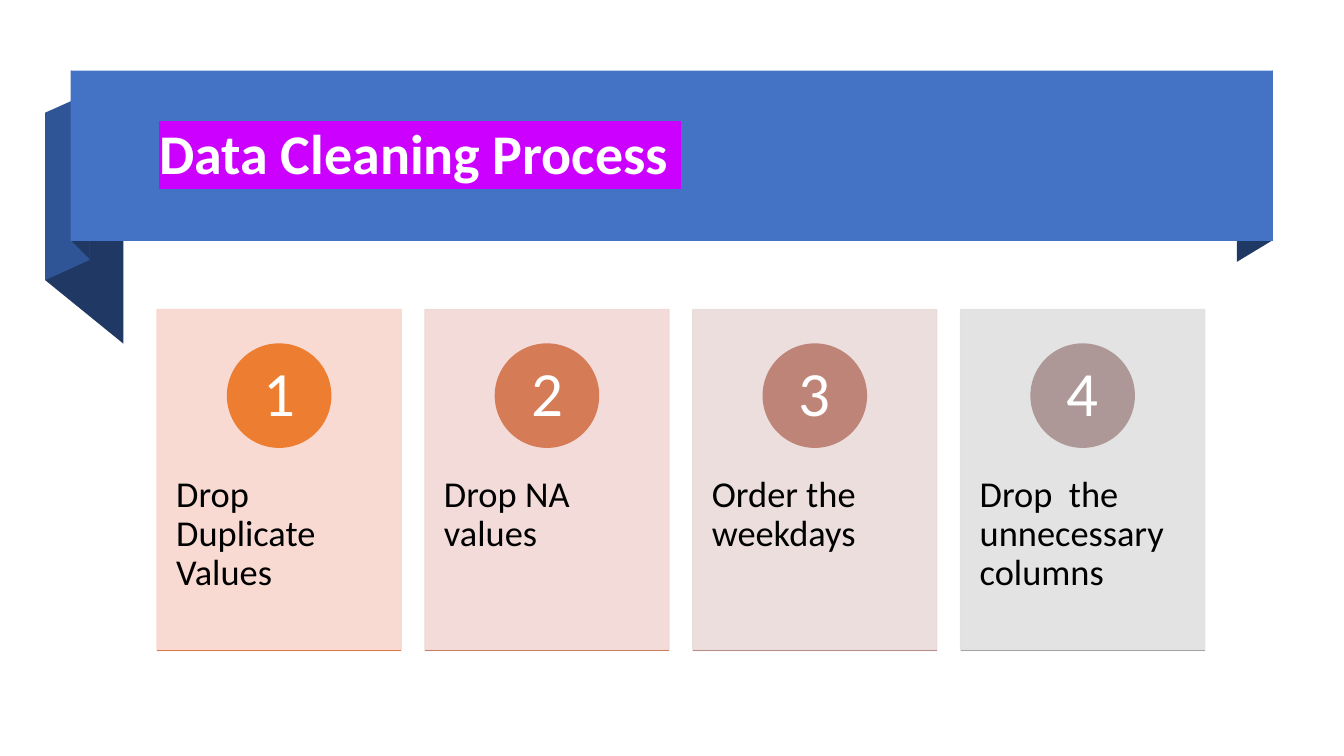
from lxml.etree import SubElement
from pptx import Presentation
from pptx.dml.color import RGBColor
from pptx.enum.shapes import MSO_CONNECTOR, MSO_SHAPE
from pptx.enum.text import MSO_ANCHOR, PP_ALIGN
from pptx.oxml.ns import qn
from pptx.util import Cm, Pt

WHITE = RGBColor(0xFF, 0xFF, 0xFF)
BLACK = RGBColor(0x00, 0x00, 0x00)
BLUE = RGBColor(0x44, 0x72, 0xC4)
MID_BLUE = RGBColor(0x2F, 0x55, 0x97)
DARK_BLUE = RGBColor(0x20, 0x38, 0x64)
HIGHLIGHT = "CC00FF"

# Content
TITLE = "Data Cleaning Process "
STEPS = [  # text, card, circle and base line colours
    ("Drop Duplicate Values", RGBColor(0xF8, 0xD7, 0xCE),
     RGBColor(0xED, 0x7D, 0x31), RGBColor(0xE0, 0x7A, 0x44)),
    ("Drop NA values", RGBColor(0xF1, 0xD8, 0xD4),
     RGBColor(0xD5, 0x7B, 0x56), RGBColor(0xCA, 0x7E, 0x67)),
    ("Order the weekdays", RGBColor(0xE9, 0xDB, 0xDA),
     RGBColor(0xBF, 0x84, 0x78), RGBColor(0xB6, 0x8D, 0x88)),
    ("Drop  the unnecessary columns", RGBColor(0xE1, 0xE1, 0xE1),
     RGBColor(0xAD, 0x98, 0x97), RGBColor(0xA5, 0xA5, 0xA5)),
]
FOLDS = [  # ribbon folds in cm, back to front
    (DARK_BLUE, [(32.08, 6.05), (31.17, 6.6), (31.17, 2.31), (32.08, 1.78)]),
    (DARK_BLUE, [(3.11, 8.66), (1.14, 7.06), (1.14, 2.84), (3.11, 4.45)]),
    (MID_BLUE, [(2.26, 6.55), (1.14, 7.06), (1.14, 2.84), (2.26, 2.34)]),
    (DARK_BLUE, [(2.26, 6.53), (1.8, 6.07), (1.8, 1.78), (2.26, 2.26)]),
]

# Formats
TITLE_FONT = {"name": "Calibri", "size": Pt(40), "bold": True}
STEP_FONT = {"name": "Calibri", "size": Pt(26)}
NUMBER_FONT = {"name": "Calibri", "size": Pt(45)}

# Card layout in cm
LEFT, TOP, PITCH = 3.96, 7.8, 6.75
CARD_W, CARD_H = 6.15, 8.59
TEXT_TOP, TEXT_H = 11.08, 5.15
CIRCLE, CIRCLE_TOP = 2.6, 8.67
NUMBER, BASE_Y = 1.83, 16.4

prs = Presentation()
prs.slide_width, prs.slide_height = Cm(33.87), Cm(19.05)
s = prs.slides.add_slide(prs.slide_layouts[6])


def paint(sp, color, line=False, alpha=None):
    sp.shadow.inherit = False
    sp.fill.solid()
    sp.fill.fore_color.rgb = color
    if line:
        sp.line.color.rgb = color
        sp.line.width = Pt(1)
    else:
        sp.line.fill.background()
    if alpha:
        for clr in sp._element.spPr.iter(qn("a:srgbClr")):
            SubElement(clr, qn("a:alpha"), val=str(alpha * 1000))


def add_shape(kind, box, color, **style):
    sp = s.shapes.add_shape(kind, *map(Cm, box))
    paint(sp, color, **style)


def add_text(text, box, insets, font, color, anchor, align=PP_ALIGN.LEFT):
    tf = s.shapes.add_textbox(*map(Cm, box)).text_frame
    side, edge = map(Cm, insets)
    frame = {"word_wrap": True, "vertical_anchor": anchor,
             "margin_left": side, "margin_right": side,
             "margin_top": edge, "margin_bottom": edge}
    for name, value in frame.items():
        setattr(tf, name, value)
    p = tf.paragraphs[0]
    p.alignment, p.line_spacing = align, 0.9
    r = p.add_run()
    r.text = text
    for name, value in font.items():
        setattr(r.font, name, value)
    r.font.color.rgb = color
    return r


# Ribbon banner
for color, points in FOLDS:
    corners = [(Cm(x), Cm(y)) for x, y in points]
    fb = s.shapes.build_freeform(*corners[0])
    fb.add_line_segments(corners[1:], close=True)
    paint(fb.convert_to_shape(), color)
add_shape(MSO_SHAPE.RECTANGLE, (1.78, 1.78, 30.3, 4.29), BLUE)

# Highlighted title
r = add_text(TITLE, (3.77, 2.1, 27.79, 3.68), (0.25, 0.13), TITLE_FONT, WHITE,
             MSO_ANCHOR.MIDDLE)
rPr = r.font._element
mark = rPr.makeelement(qn("a:highlight"), {})
SubElement(mark, qn("a:srgbClr"), val=HIGHLIGHT)
rPr.find(qn("a:solidFill")).addnext(mark)

# Step cards
for i, (text, card, circle, base) in enumerate(STEPS):
    x = LEFT + i * PITCH
    circle_x = x + (CARD_W - CIRCLE) / 2
    inner = (CIRCLE - NUMBER) / 2
    add_shape(MSO_SHAPE.RECTANGLE, (x, TOP, CARD_W, CARD_H), card,
              line=True, alpha=90)
    add_text(text, (x, TEXT_TOP, CARD_W, TEXT_H), (0.48, 0.91), STEP_FONT,
             BLACK, MSO_ANCHOR.TOP)
    add_shape(MSO_SHAPE.OVAL, (circle_x, CIRCLE_TOP, CIRCLE, CIRCLE), circle,
              line=True)
    add_text(str(i + 1), (circle_x + inner, CIRCLE_TOP + inner, NUMBER, NUMBER),
             (0.2, 0.03), NUMBER_FONT, WHITE, MSO_ANCHOR.MIDDLE,
             PP_ALIGN.CENTER)
    rule = s.shapes.add_connector(MSO_CONNECTOR.STRAIGHT, Cm(x), Cm(BASE_Y),
                                  Cm(x + CARD_W), Cm(BASE_Y))
    rule.line.color.rgb = base
    rule.line.width = Pt(1)
    SubElement(rule._element.spPr, qn("a:effectLst"))

prs.save("out.pptx")
